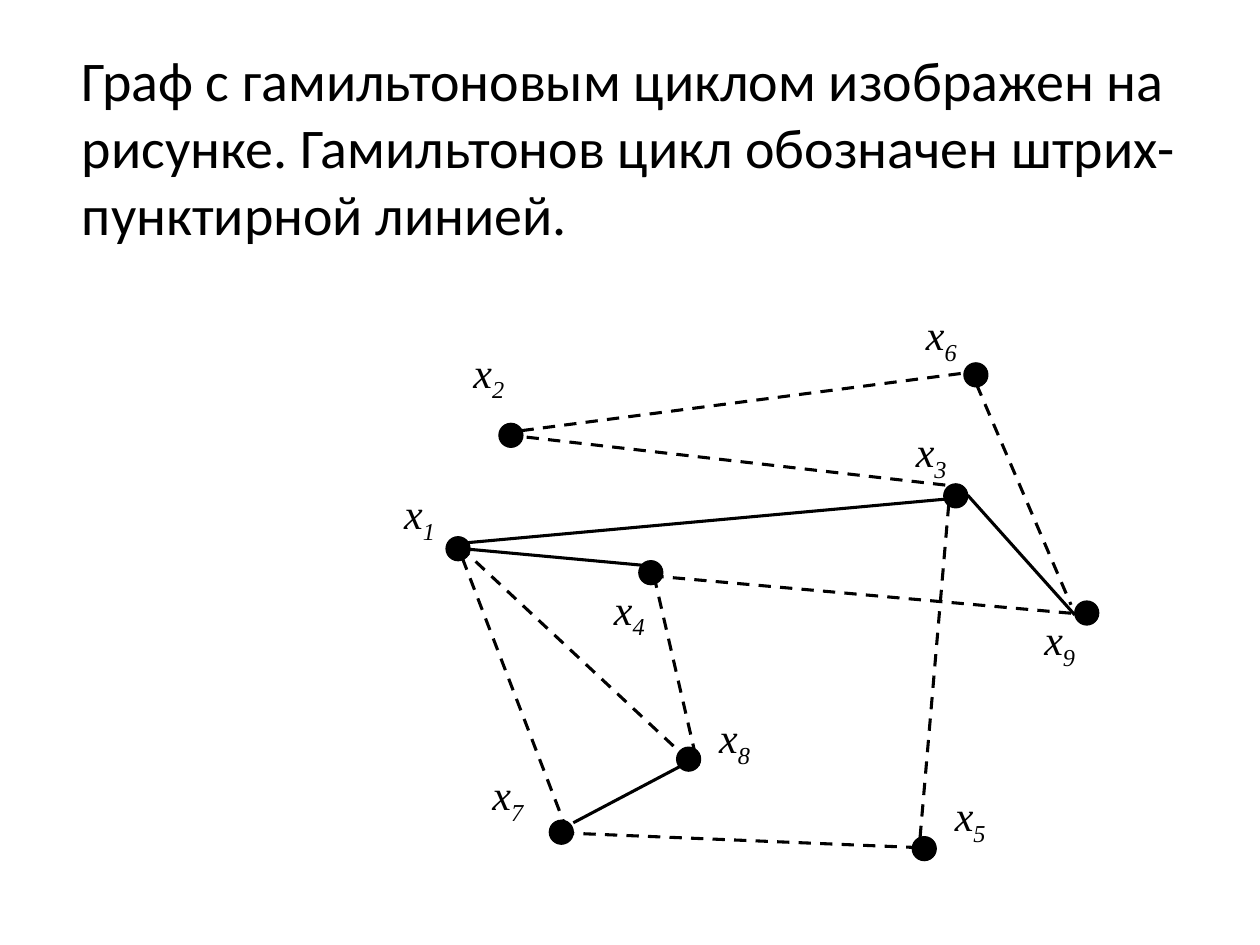
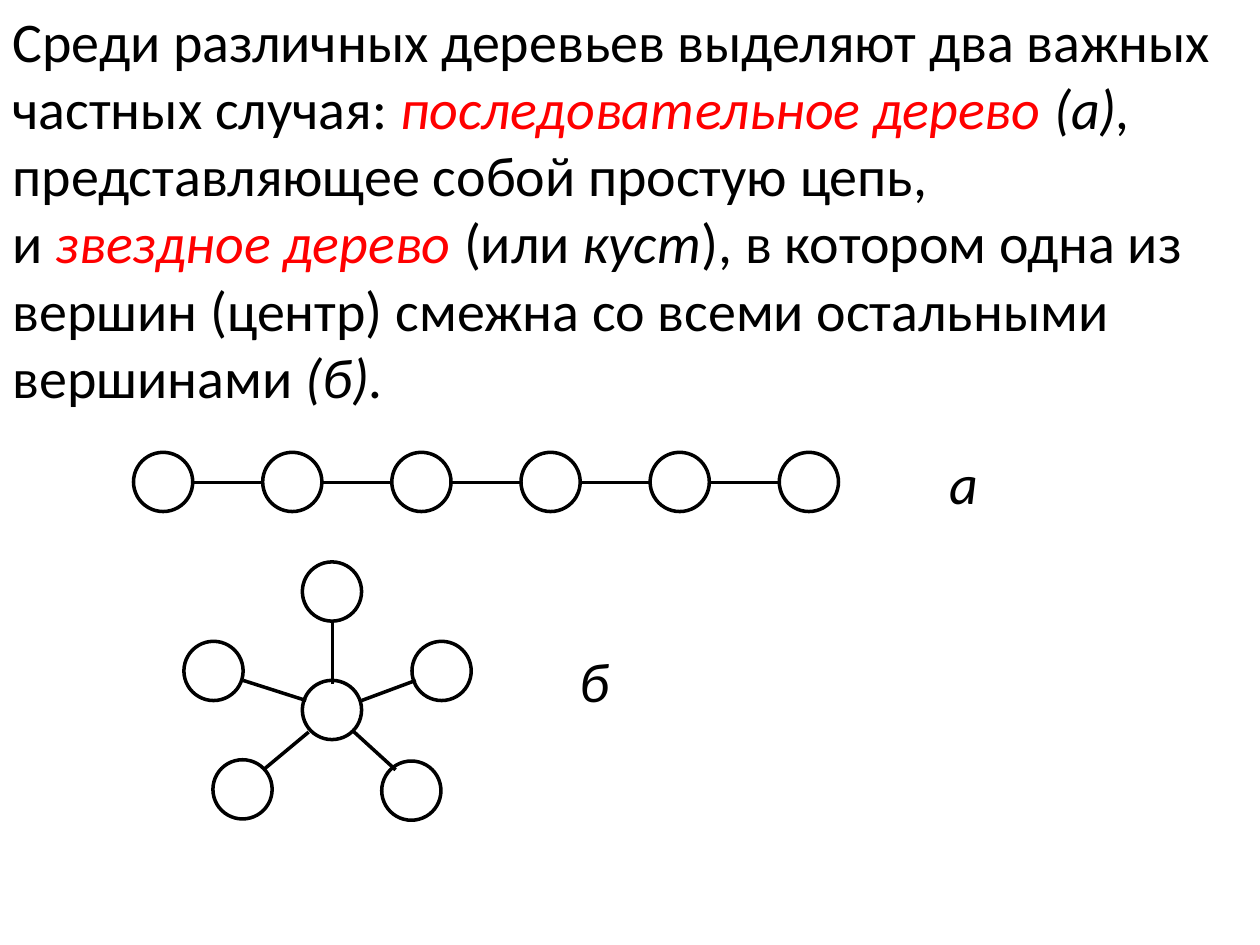
from lxml import etree
from pptx import Presentation
from pptx import util as u
from pptx.dml.color import RGBColor
from pptx.enum import dml, shapes, text
from pptx.oxml.ns import qn

COLORS = {"ink": "000000", "accent": "FF0000"}
INK = RGBColor.from_string(COLORS["ink"])
NBSP = chr(160)
PLAIN = {"italic": False, "color": "ink"}
ITALIC = {"italic": True, "color": "ink"}
TERM = {"italic": True, "color": "accent"}

vertices = [
    (7.65, 2.88), (5.07, 4.45), (3.54, 4.26), (7.49, 3.84), (5.37, 5.93),
    (4.36, 6.51), (7.24, 6.64), (8.53, 4.77), (3.96, 3.36),
]
vertex_labels = [
    ("2", 3.66, 2.7), ("6", 7.25, 2.4), ("3", 7.17, 3.33),
    ("4", 4.36, 4.58), ("1", 3.11, 3.82), ("9", 8.19, 4.82),
    ("8", 5.61, 5.6), ("7", 3.81, 6.05), ("5", 7.48, 6.22),
]
cycle_edges = [
    (3.97, 3.44, 7.66, 2.96), (4.01, 3.45, 7.59, 3.86),
    (5.17, 4.57, 8.53, 4.87), (7.75, 3.05, 8.5, 4.8),
    (3.65, 4.34, 5.43, 6), (3.67, 4.43, 4.48, 6.54),
    (5.19, 4.57, 5.54, 6.08), (4.46, 6.61, 7.36, 6.73),
    (7.53, 4, 7.29, 6.79),
]
other_edges = [
    (3.57, 4.32, 7.52, 3.96), (3.73, 4.36, 5.14, 4.49),
    (7.68, 3.93, 8.53, 4.88), (4.55, 6.53, 5.46, 6.05),
]

chain_step = 1.025
chain_nodes = [(1.06 + chain_step * i, 3.59) for i in range(6)]
chain_edges = [
    (left + 0.48, 3.83, left + chain_step, 3.83) for left, top in chain_nodes[:-1]
]
star_nodes = [
    (2.4, 5.4), (1.69, 6.03), (3.03, 6.04), (3.27, 5.09), (2.4, 4.46), (1.46, 5.09),
]
star_edges = [
    (1.93, 5.4, 2.43, 5.56), (2.09, 6.11, 2.45, 5.81), (3.14, 6.11, 2.8, 5.8),
    (2.64, 5.43, 2.64, 4.93), (2.87, 5.56, 3.3, 5.4),
]

pages = [
    {
        "body": (0.55, 0.31, 9, 2.2),
        "spans": [(
            "Граф с гамильтоновым циклом изображен на рисунке. "
            "Гамильтонов цикл обозначен штрих-пунктирной линией.", PLAIN)],
        "nodes": vertices,
        "node": {"size": 0.19, "line": 0.75, "filled": True},
        "labels": [("х", *label) for label in vertex_labels],
        "label": {"size": (1.27, 1.12), "wrap": True, "after": 10,
                  "font": {"name": "Times New Roman", "size": u.Pt(24), "italic": True}},
        "edges": [(edge, True) for edge in cycle_edges]
        + [(edge, False) for edge in other_edges],
        "edge_width": 1.75,
    },
    {
        "body": (0, 0, 10, 3.36),
        "spans": [
            (f"Среди различных деревьев выделяют два важных частных случая:{NBSP}", PLAIN),
            (f"последовательное{NBSP}дерево ", TERM),
            ("(а), ", ITALIC),
            (f"представляющее собой простую цепь, и{NBSP}", PLAIN),
            (f"звездное{NBSP}дерево", TERM),
            (f"{NBSP}(или{NBSP}", PLAIN),
            ("куст", ITALIC),
            ("), в котором одна из вершин (центр) смежна со всеми остальными вершинами ", PLAIN),
            ("(б).", ITALIC),
        ],
        "nodes": chain_nodes + star_nodes,
        "node": {"size": 0.47, "line": 2, "filled": False},
        "labels": [("а", "", 7.44, 3.51), ("б", "", 4.5, 5.08)],
        "label": {"size": (0.43, 0.64), "wrap": False, "after": 0,
                  "font": {"name": "Calibri", "size": u.Pt(32), "italic": True}},
        "edges": [(edge, False) for edge in chain_edges + star_edges],
        "edge_width": 2,
    },
]

deck = Presentation()
deck.slide_width, deck.slide_height = u.Inches(10), u.Inches(7.5)

for content in pages:
    page = deck.slides.add_slide(deck.slide_layouts[1])
    title = page.shapes.title
    title.element.getparent().remove(title.element)

    body = page.placeholders[1]
    for side, length in zip(("left", "top", "width", "height"), content["body"]):
        setattr(body, side, u.Inches(length))
    body.text_frame.auto_size = text.MSO_AUTO_SIZE.NONE
    para = body.text_frame.paragraphs[0]
    properties = para._p.get_or_add_pPr()
    properties.set("marL", "0")
    properties.set("indent", "0")
    etree.SubElement(properties, qn("a:buNone"))
    for wording, style in content["spans"]:
        span = para.add_run()
        span.text = wording
        for name, value in {"name": "Calibri", "size": u.Pt(32), "italic": style["italic"]}.items():
            setattr(span.font, name, value)
        span.font.color.rgb = RGBColor.from_string(COLORS[style["color"]])

    node = content["node"]
    for left, top in content["nodes"]:
        circle = page.shapes.add_shape(
            shapes.MSO_SHAPE.OVAL, u.Inches(left), u.Inches(top),
            u.Inches(node["size"]), u.Inches(node["size"]))
        circle.shadow.inherit = False
        circle.line.color.rgb = INK
        circle.line.width = u.Pt(node["line"])
        if node["filled"]:
            circle.fill.solid()
            circle.fill.fore_color.rgb = INK
        else:
            circle.fill.background()

    label = content["label"]
    for letter, index, left, top in content["labels"]:
        box = page.shapes.add_textbox(
            u.Inches(left), u.Inches(top), *map(u.Inches, label["size"]))
        box.text_frame.word_wrap = label["wrap"]
        para = box.text_frame.paragraphs[0]
        para.space_after = u.Pt(label["after"])
        if index == "4":
            para.alignment = text.PP_ALIGN.CENTER
        for wording in filter(None, (letter, index)):
            span = para.add_run()
            span.text = wording
            for name, value in label["font"].items():
                setattr(span.font, name, value)
            span.font.color.rgb = INK
            if wording == index:
                span._r.get_or_add_rPr().set("baseline", "-25000")

    for edge, dashed in content["edges"]:
        line = page.shapes.add_connector(
            shapes.MSO_CONNECTOR.STRAIGHT, *map(u.Inches, edge))
        line.line.color.rgb = INK
        line.line.width = u.Pt(content["edge_width"])
        if dashed:
            line.line.dash_style = dml.MSO_LINE.DASH
        etree.SubElement(line.element.spPr, qn("a:effectLst"))

deck.save("out.pptx")
